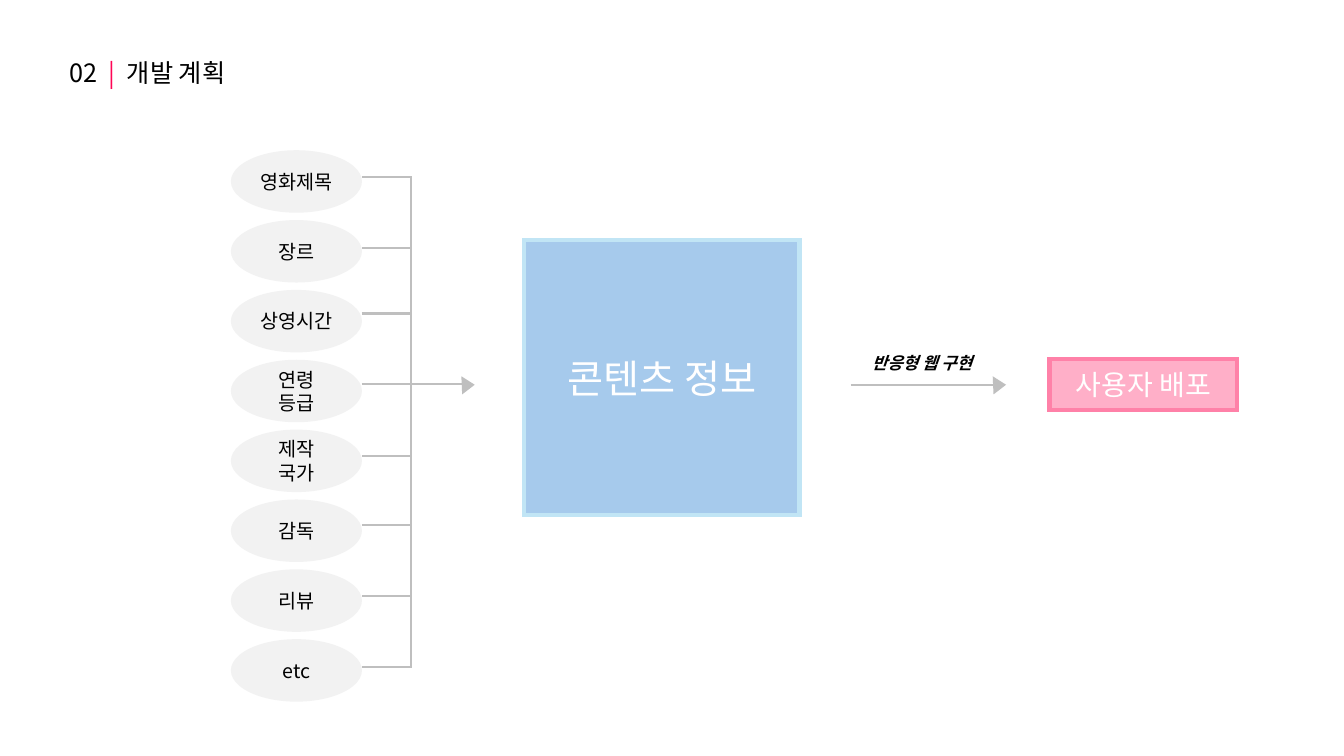
from lxml import etree
from pptx import Presentation
from pptx.dml.color import RGBColor
from pptx.enum.shapes import MSO_CONNECTOR, MSO_SHAPE
from pptx.enum.text import MSO_ANCHOR, PP_ALIGN
from pptx.oxml.ns import qn
from pptx.util import Inches, Pt

RECTANGLE, OVAL = MSO_SHAPE.RECTANGLE, MSO_SHAPE.OVAL
TRIANGLE = MSO_SHAPE.ISOSCELES_TRIANGLE
STRAIGHT = MSO_CONNECTOR.STRAIGHT
MIDDLE = MSO_ANCHOR.MIDDLE
LEFT, CENTER = PP_ALIGN.LEFT, PP_ALIGN.CENTER

# Content
HEADING = [("02  ", "black"), ("|  ", "accent"), ("개발 계획", "black")]
# Each field with the height of its branch line
FIELDS = [
    ("영화제목", 1.76), ("장르", 2.46), ("상영시간", 3.11), ("연령 등급", 3.81),
    ("제작 국가", 4.52), ("감독", 5.21), ("리뷰", 5.91), ("etc", 6.62),
]
HUB = "콘텐츠 정보"
STEP = "반응형 웹 구현"
RESULT = "사용자 배포"

THEME = {
    "font": "Noto Sans CJK KR",
    "colors": {
        "black": "000000", "white": "FFFFFF", "accent": "FF0555",
        "field": "F2F2F2", "line": "BFBFBF",
        "hub": "A6CAEC", "hub_edge": "C1E5F5",
        "result": "FFAFC8", "result_edge": "FF81A8",
    },
    "sizes": {"heading": 18, "hub": 28, "field": 14, "step": 12, "result": 20},
    "thin": 1.5, "thick": 3,
}

# Layout
FIELD_LEFT, FIELD_TOP, FIELD_PITCH = 2.29, 1.49, 0.693
FIELD_WIDTH, FIELD_HEIGHT = 1.3, 0.62
FIELD_RIGHT = FIELD_LEFT + FIELD_WIDTH
TRUNK_X = 4.08
HEAD_WIDTH, HEAD_HEIGHT, HEAD_TURN = 0.14, 0.1, 87.5


def color(name):
    return RGBColor.from_string(THEME["colors"][name])


def write(shape, runs, size, align=CENTER, spacing=None, emphasis=False):
    text_frame = shape.text_frame
    text_frame.word_wrap = True
    text_frame.vertical_anchor = MIDDLE
    paragraph = text_frame.paragraphs[0]
    paragraph.alignment = align
    if spacing:
        paragraph.line_spacing = spacing
    for text, color_name in runs:
        run = paragraph.add_run()
        run.text = text
        run.font.size = Pt(THEME["sizes"][size])
        run.font.name = THEME["font"]
        run.font.color.rgb = color(color_name)
        if emphasis:
            run.font.bold = run.font.italic = True
        east_asian = etree.Element(qn("a:ea"), typeface=THEME["font"])
        run.font._element.find(qn("a:latin")).addnext(east_asian)


def add_text(slide, box, runs, size, **style):
    shape = slide.shapes.add_textbox(*map(Inches, box))
    text_frame = shape.text_frame
    text_frame.margin_left = text_frame.margin_right = 0
    text_frame.margin_top = text_frame.margin_bottom = 0
    write(shape, runs, size, **style)


def add_block(slide, kind, box, fill, edge=None, width=None):
    shape = slide.shapes.add_shape(kind, *map(Inches, box))
    shape.shadow.inherit = False
    shape.fill.solid()
    shape.fill.fore_color.rgb = color(fill)
    if edge:
        shape.line.color.rgb = color(edge)
        shape.line.width = Pt(width)
        # Sharp outline corners
        outline = shape.line._get_or_add_ln()
        etree.SubElement(outline, qn("a:miter"), lim="800000")
    else:
        shape.line.fill.background()
    return shape


def add_line(slide, start, end):
    connector = slide.shapes.add_connector(STRAIGHT, *map(Inches, start + end))
    connector.line.color.rgb = color("line")
    connector.line.width = Pt(THEME["thin"])
    etree.SubElement(connector._element.spPr, qn("a:effectLst"))


def add_arrow(slide, left, right, y, head_left):
    add_line(slide, (left, y), (right, y))
    head = add_block(slide, TRIANGLE, (head_left, 3.77, HEAD_WIDTH, HEAD_HEIGHT),
                     "line", "line", THEME["thin"])
    head.rotation = HEAD_TURN


def main():
    presentation = Presentation()
    presentation.slide_width = Inches(13.33)
    presentation.slide_height = Inches(7.5)
    slide = presentation.slides.add_slide(presentation.slide_layouts[6])

    # Heading
    add_text(slide, (0.69, 0.44, 2.67, 0.5), HEADING, "heading",
             align=LEFT, spacing=1.16)

    # Content hub
    hub = add_block(slide, RECTANGLE, (5.2, 2.38, 2.73, 2.73),
                    "hub", "hub_edge", THEME["thick"])
    write(hub, [(HUB, "white")], "hub")

    # Fields and their branches
    for index, (label, branch_y) in enumerate(FIELDS):
        top = FIELD_TOP + index * FIELD_PITCH
        field = add_block(slide, OVAL, (FIELD_LEFT, top, FIELD_WIDTH, FIELD_HEIGHT),
                          "field")
        write(field, [(label, "black")], "field")
        add_line(slide, (FIELD_RIGHT, branch_y), (TRUNK_X + 0.01, branch_y))

    # Trunk and arrow into the hub
    add_line(slide, (TRUNK_X, 1.75), (TRUNK_X, 6.62))
    add_arrow(slide, TRUNK_X + 0.01, 4.59, 3.81, 4.57)

    # Step towards the result
    add_arrow(slide, 8.44, 9.86, 3.82, 9.84)
    add_text(slide, (8.38, 3.33, 1.53, 0.5), [(STEP, "black")], "step",
             spacing=1.24, emphasis=True)

    # Result
    result = add_block(slide, RECTANGLE, (10.41, 3.56, 1.86, 0.51),
                       "result", "result_edge", THEME["thick"])
    write(result, [(RESULT, "white")], "result")

    presentation.save("out.pptx")


if __name__ == "__main__":
    main()
